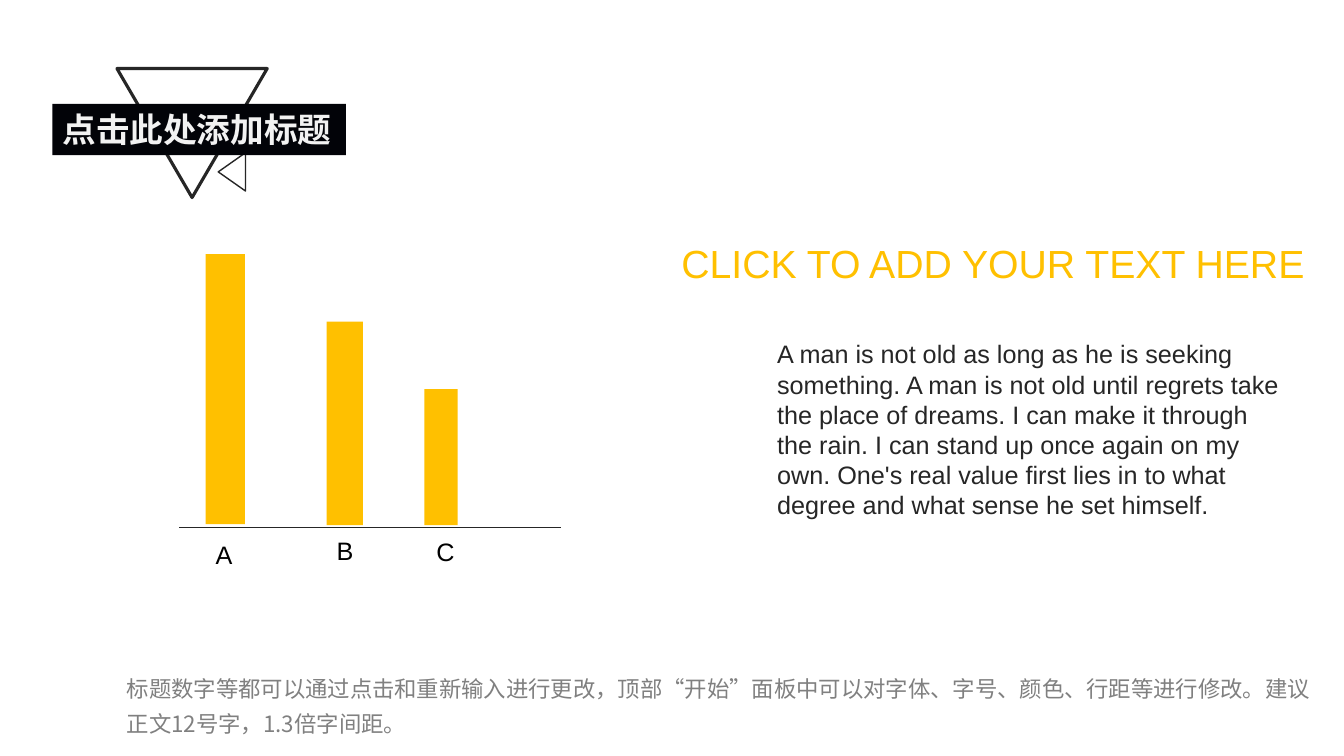
from dataclasses import dataclass

from lxml import etree
from pptx import Presentation
from pptx.dml.color import RGBColor
from pptx.enum.shapes import MSO_CONNECTOR, MSO_SHAPE
from pptx.enum.text import MSO_ANCHOR, MSO_AUTO_SIZE, PP_ALIGN
from pptx.oxml.ns import qn
from pptx.util import Pt

RECTANGLE = MSO_SHAPE.RECTANGLE
TRIANGLE = MSO_SHAPE.ISOSCELES_TRIANGLE
STRAIGHT = MSO_CONNECTOR.STRAIGHT
TOP = MSO_ANCHOR.TOP
LEFT = PP_ALIGN.LEFT
NO_AUTOFIT = MSO_AUTO_SIZE.NONE
PX = 9144


@dataclass(frozen=True)
class Theme:
    accent: RGBColor = RGBColor(0xFF, 0xC0, 0x00)
    ink: RGBColor = RGBColor(0x26, 0x26, 0x26)
    label: RGBColor = RGBColor(0x00, 0x00, 0x00)
    muted: RGBColor = RGBColor(0x80, 0x80, 0x80)
    paper: RGBColor = RGBColor(0xFF, 0xFF, 0xFF)
    banner: RGBColor = RGBColor(0x02, 0x03, 0x08)
    banner_text: RGBColor = RGBColor(0xF2, 0xF2, 0xF2)
    latin_font: str = "Arial"
    chinese_font: str = "Noto Sans CJK SC"
    heading_size: int = 28
    title_size: int = 24
    body_size: int = 18
    note_size: int = 16


theme = Theme()


def place(shape, left, top, width, height):
    shape.left, shape.top = left * PX, top * PX
    shape.width, shape.height = width * PX, height * PX


def write(shape, text, size, color, font_name, bold=False, wrap=True, spacing=1.0):
    frame = shape.text_frame
    frame.auto_size = NO_AUTOFIT
    frame.word_wrap = wrap
    frame.vertical_anchor = TOP
    paragraph = frame.paragraphs[0]
    paragraph.alignment = LEFT
    paragraph.line_spacing = spacing
    run = paragraph.add_run()
    run.text = text
    run.font.size = Pt(size)
    run.font.bold = bold
    run.font.name = font_name
    run.font.color.rgb = color
    east_asian = etree.SubElement(run.font._element, qn("a:ea"))
    east_asian.set("typeface", font_name)


presentation = Presentation()
presentation.slide_width = 1333 * PX
presentation.slide_height = 750 * PX
slide = presentation.slides.add_slide(presentation.slide_layouts[5])
shapes = slide.shapes

title = shapes.title
place(title, 52, 103, 291, 51)
title.fill.solid()
title.fill.fore_color.rgb = theme.banner
write(title, "点击此处添加标题", theme.title_size, theme.banner_text, theme.chinese_font, bold=True)

for box, rotation, line_width, filled in (
    ((211, 157, 38, 27), 270, 1, False),
    ((116, 68, 149, 128), 180, 2.25, True),
):
    triangle = shapes.add_shape(TRIANGLE, 0, 0, 0, 0)
    place(triangle, *box)
    triangle.rotation = rotation
    triangle.shadow.inherit = False
    triangle.line.color.rgb = theme.ink
    triangle.line.width = Pt(line_width)
    if filled:
        triangle.fill.solid()
        triangle.fill.fore_color.rgb = theme.paper
    else:
        triangle.fill.background()
    title._element.addprevious(triangle._element)

texts = (
    (
        (116, 657, 1204, 80),
        "标题数字等都可以通过点击和重新输入进行更改，顶部“开始”面板中可以对字体、字号、颜色、行距等进行修改。"
        "建议正文12号字，1.3倍字间距。",
        theme.note_size, theme.muted, theme.chinese_font, 1.3,
    ),
    (
        (666, 233, 667, 57),
        "CLICK TO ADD YOUR TEXT HERE",
        theme.heading_size, theme.accent, theme.latin_font, 1.0,
    ),
    (
        (761, 331, 520, 192),
        "A man is not old as long as he is seeking something. "
        "A man is not old until regrets take the place of dreams. "
        "I can make it through the rain. I can stand up once again on my own. "
        "One's real value first lies in to what degree and what sense he set himself.",
        theme.body_size, theme.ink, theme.latin_font, 1.0,
    ),
)
for box, text, size, color, font_name, spacing in texts:
    text_box = shapes.add_textbox(0, 0, 0, 0)
    place(text_box, *box)
    write(text_box, text, size, color, font_name, spacing=spacing)

axis = shapes.add_connector(STRAIGHT, 178 * PX, 523 * PX, 556 * PX, 523 * PX)
axis.line.color.rgb = theme.ink
axis.line.width = Pt(0.5)
etree.SubElement(axis._element.spPr, qn("a:effectLst"))

for name, bar_box, label_box in (
    ("A", (204, 252, 39, 268), (204, 530, 37, 40)),
    ("B", (324, 319, 36, 202), (324, 526, 37, 40)),
    ("C", (421, 386, 33, 135), (423, 527, 38, 40)),
):
    bar = shapes.add_shape(RECTANGLE, 0, 0, 0, 0)
    place(bar, *bar_box)
    bar.shadow.inherit = False
    bar.fill.solid()
    bar.fill.fore_color.rgb = theme.accent
    bar.line.fill.background()
    label = shapes.add_textbox(0, 0, 0, 0)
    place(label, *label_box)
    write(label, name, theme.body_size, theme.label, theme.latin_font, wrap=False)

presentation.save("out.pptx")
